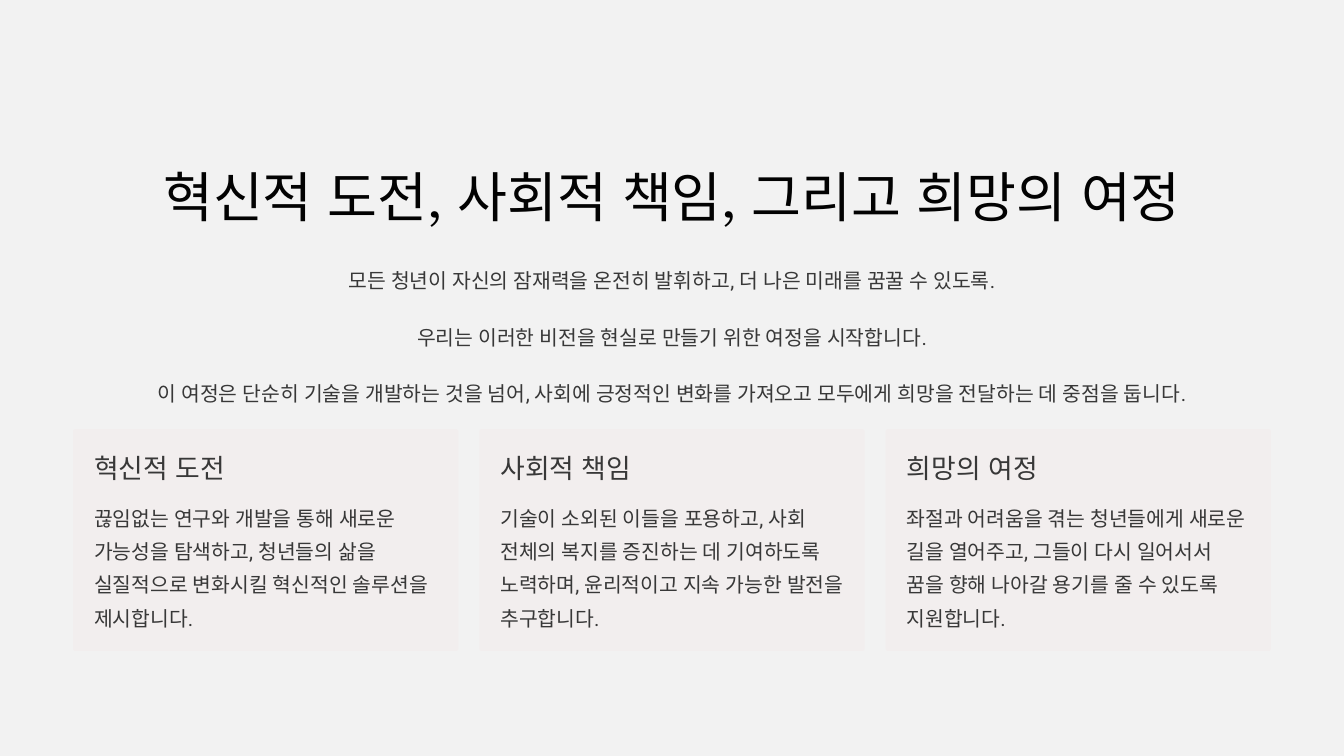
from pptx import Presentation
from pptx.dml.color import RGBColor
from pptx.enum.shapes import MSO_SHAPE
from pptx.enum.text import MSO_ANCHOR, MSO_AUTO_SIZE, PP_ALIGN
from pptx.oxml.ns import qn
from pptx.util import Pt
from lxml import etree

ROUND = MSO_SHAPE.ROUNDED_RECTANGLE
TOP = MSO_ANCHOR.TOP
FIXED = MSO_AUTO_SIZE.NONE
LEFT, CENTER = PP_ALIGN.LEFT, PP_ALIGN.CENTER

PAPER = RGBColor(0xF2, 0xF2, 0xF2)
PANEL = RGBColor(0xF2, 0xEE, 0xEE)
BLACK = RGBColor(0x02, 0x02, 0x02)
GREY = RGBColor(0x38, 0x38, 0x38)

SERIF, SANS = "TeX Gyre Schola", "Roboto"
SCALE = 9144  # EMU per px, 100 px to the inch

TITLE = "혁신적 도전, 사회적 책임, 그리고 희망의 여정"
INTRO = [
    "모든 청년이 자신의 잠재력을 온전히 발휘하고, 더 나은 미래를 꿈꿀 수 있도록.",
    "우리는 이러한 비전을 현실로 만들기 위한 여정을 시작합니다.",
    "이 여정은 단순히 기술을 개발하는 것을 넘어, 사회에 긍정적인 변화를 "
    "가져오고 모두에게 희망을 전달하는 데 중점을 둡니다.",
]
CARDS = [
    ("혁신적 도전",
     "끊임없는 연구와 개발을 통해 새로운 가능성을 탐색하고, 청년들의 삶을 "
     "실질적으로 변화시킬 혁신적인 솔루션을 제시합니다."),
    ("사회적 책임",
     "기술이 소외된 이들을 포용하고, 사회 전체의 복지를 증진하는 데 "
     "기여하도록 노력하며, 윤리적이고 지속 가능한 발전을 추구합니다."),
    ("희망의 여정",
     "좌절과 어려움을 겪는 청년들에게 새로운 길을 열어주고, 그들이 다시 "
     "일어서서 꿈을 향해 나아갈 용기를 줄 수 있도록 지원합니다."),
]


def px(n):
    return round(n * SCALE)


def place(shape, box):
    shape.left, shape.top, shape.width, shape.height = map(px, box)


def write(shape, lines, face, size, color, pitch, align=LEFT, gap=0):
    """Fill a text shape with evenly set paragraphs."""
    frame = shape.text_frame
    frame.text = "\n".join(lines)
    frame.word_wrap = True
    frame.auto_size = FIXED
    frame.vertical_anchor = TOP
    frame.margin_left = frame.margin_right = 0
    frame.margin_top = frame.margin_bottom = 0
    for i, para in enumerate(frame.paragraphs):
        props = para._p.get_or_add_pPr()
        props.set("marL", "0")
        props.set("indent", "0")
        etree.SubElement(props, qn("a:buNone"))
        para.alignment = align
        para.line_spacing = Pt(pitch)
        para.space_before = Pt(gap if i else 0)
        para.space_after = Pt(0)
        for run in para.runs:
            font = run.font
            font.size, font.name, font.color.rgb = Pt(size), face, color
            # Hangul and its punctuation take the East Asian face
            latin = font._element.find(qn("a:latin"))
            asian = etree.Element(qn("a:ea"), typeface=face)
            latin.addnext(asian)


def add_head(slide, box):
    """Title with the intro lines below it."""
    x, y, w, h = box
    title, body = slide.shapes.title, slide.placeholders[1]
    place(title, (x, y, w, 81))
    write(title, [TITLE], SERIF, 46.5, BLACK, 58.5, CENTER)
    place(body, (x, y + 119, w, h - 119))
    write(body, INTRO, SANS, 17.5, GREY, 28.5, CENTER, gap=20)


def add_card(slide, box, name, text):
    """Panel with a heading and a paragraph."""
    x, y, w, h = box
    pad = 25
    panel = slide.shapes.add_shape(ROUND, *map(px, box))
    panel.adjustments[0] = 0.01
    panel.shadow.inherit = False
    panel.fill.solid()
    panel.fill.fore_color.rgb = PANEL
    panel.line.fill.background()

    inner = w - 2 * pad
    head = slide.shapes.add_textbox(*map(px, (x + pad, y + pad, inner, 41)))
    write(head, [name], SERIF, 23, GREY, 29)
    note = slide.shapes.add_textbox(
        *map(px, (x + pad, y + 81, inner, h - 81 - pad)))
    write(note, [text], SANS, 17.5, GREY, 28.5)


def add_cards(slide, box, gap):
    """Row of equal cards."""
    x, y, w, h = box
    count = len(CARDS)
    wide = (w - gap * (count - 1)) / count
    for i, (name, text) in enumerate(CARDS):
        add_card(slide, (x + i * (wide + gap), y, wide, h), name, text)


def main():
    deck = Presentation()
    deck.slide_width, deck.slide_height = px(1600), px(900)
    slide = deck.slides.add_slide(deck.slide_layouts[1])
    slide.background.fill.solid()
    slide.background.fill.fore_color.rgb = PAPER
    add_head(slide, (87, 190, 1426, 294))
    add_cards(slide, (87, 511, 1426, 264), 25)
    deck.save("out.pptx")


if __name__ == "__main__":
    main()
